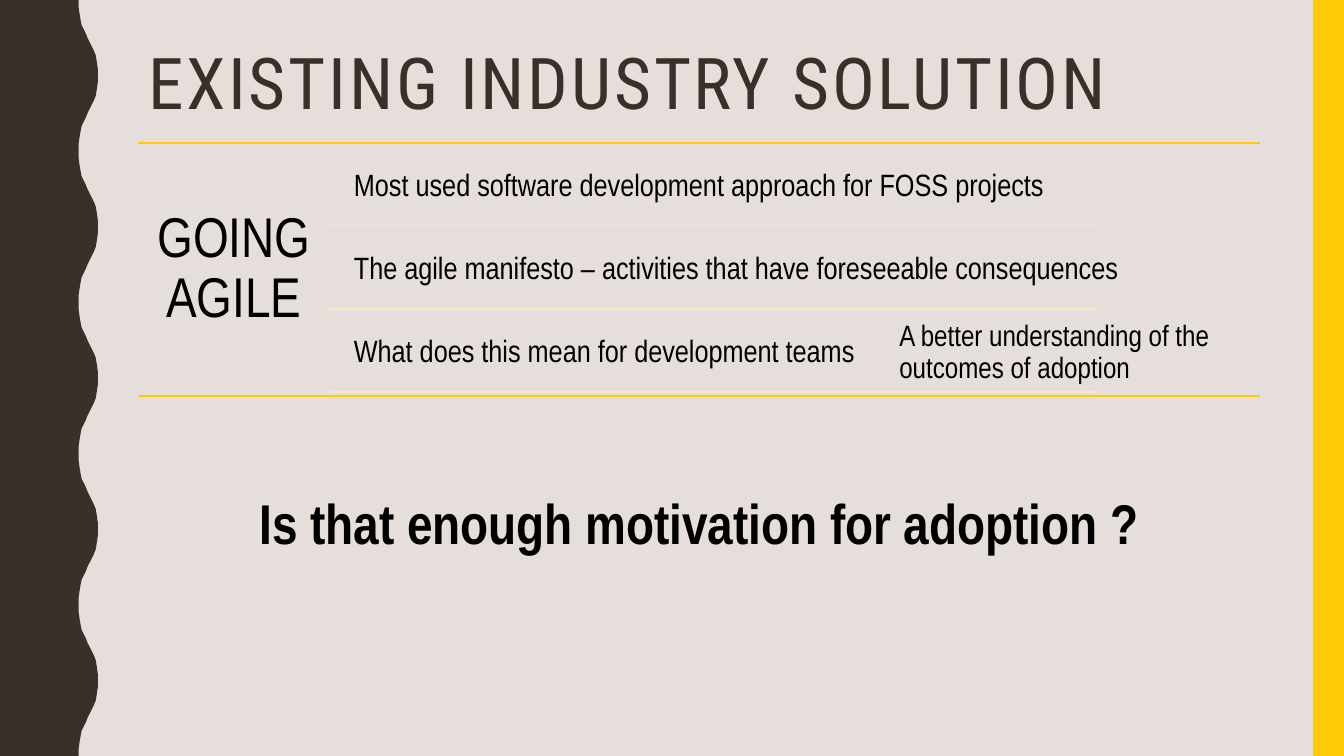
from pptx import Presentation
from pptx import util as u
from pptx.dml.color import RGBColor
from pptx.enum import shapes, text
from pptx.oxml.ns import qn
from lxml import etree

BROWN = RGBColor(0x39, 0x30, 0x2A)
GOLD = RGBColor(0xFF, 0xCA, 0x08)
PALE_GOLD = RGBColor(0xFF, 0xE6, 0xBD)
BEIGE = RGBColor(0xE5, 0xDE, 0xDB)
BLACK = RGBColor(0, 0, 0)

# Half a wave of the left border, from trough to crest, as (x, y)
HALF_WAVE = [(0.78, 0), (0.78, 0.07), (0.79, 0.14), (0.8, 0.2), (0.81, 0.25),
             (0.83, 0.29), (0.85, 0.33), (0.87, 0.38), (0.89, 0.42),
             (0.91, 0.46), (0.93, 0.5), (0.95, 0.55), (0.96, 0.61),
             (0.97, 0.68), (0.97, 0.75)]
WAVE_HEIGHT = 1.5
WAVE_COUNT = 5

LEFT, WIDTH = 1.37, 11.13
RIGHT = LEFT + WIDTH
TOP, BAND = 1.42, 2.5
ROW_TOP, ROW_PITCH, ROW_HEIGHT = 1.46, 0.825, 0.78
ROWS = [("Most used software development approach for FOSS projects", 8.19),
        ("The agile manifesto – activities that have foreseeable consequences", 8.24),
        ("What does this mean for development teams", 5.27)]


class SlideBuilder:
    def __init__(self, slide, font="Arial Narrow", color=BLACK):
        self.s = slide
        self.font = font
        self.color = color

    def background(self, color):
        fill = self.s.background.fill
        fill.solid()
        fill.fore_color.rgb = color

    def paint(self, sp, color):
        sp.shadow.inherit = False
        sp.fill.solid()
        sp.fill.fore_color.rgb = color
        sp.line.fill.background()

    def rect(self, x, y, w, h, color):
        sp = self.s.shapes.add_shape(shapes.MSO_SHAPE.RECTANGLE, u.Inches(x),
                                     u.Inches(y), u.Inches(w), u.Inches(h))
        self.paint(sp, color)

    def polygon(self, points, color):
        (x, y), *rest = [(u.Inches(px), u.Inches(py)) for px, py in points]
        fb = self.s.shapes.build_freeform(x, y)
        fb.add_line_segments(rest, close=True)
        self.paint(fb.convert_to_shape(), color)

    def rule(self, x1, x2, y, color):
        """Draw a thin horizontal line."""
        c = self.s.shapes.add_connector(
            shapes.MSO_CONNECTOR.STRAIGHT, u.Inches(x1), u.Inches(y),
            u.Inches(x2), u.Inches(y))
        c.line.color.rgb = color
        c.line.width = u.Pt(1)
        etree.SubElement(c._element.spPr, qn("a:effectLst"))

    def text(self, words, x, y, w, h, size, inset=0.09, centered=False,
             bold=False, line_spacing=0.9, font=None, color=None, tracking=0):
        """Add a vertically centred text box; tracking is in points."""
        tb = self.s.shapes.add_textbox(u.Inches(x), u.Inches(y),
                                       u.Inches(w), u.Inches(h))
        tf = tb.text_frame
        tf.word_wrap = True
        tf.vertical_anchor = text.MSO_ANCHOR.MIDDLE
        tf.margin_left = tf.margin_right = u.Inches(inset)
        tf.margin_top = tf.margin_bottom = u.Inches(inset)
        p = tf.paragraphs[0]
        r = p.add_run()
        r.text = words
        p.alignment = text.PP_ALIGN.CENTER if centered else text.PP_ALIGN.LEFT
        p.line_spacing = line_spacing
        p.font.name = font or self.font
        p.font.size = u.Pt(size)
        p.font.bold = bold
        p.font.color.rgb = color or self.color
        if tracking:
            r.font._element.set("spc", str(tracking * 100))


def wavy_border():
    """Outline of the left border: mirrored half waves, repeated downwards."""
    wave = HALF_WAVE + [(x, WAVE_HEIGHT - y) for x, y in HALF_WAVE[-2::-1]]
    edge = [(x, y + i * WAVE_HEIGHT) for i in range(WAVE_COUNT) for x, y in wave]
    return [(0, 0)] + edge + [(0, WAVE_COUNT * WAVE_HEIGHT)]


def main():
    prs = Presentation()
    prs.slide_width, prs.slide_height = u.Inches(13.33), u.Inches(7.5)
    b = SlideBuilder(prs.slides.add_slide(prs.slide_layouts[6]))

    b.background(BEIGE)
    b.polygon(wavy_border(), BROWN)
    b.rect(13.02, 0, 0.31, 7.5, GOLD)
    b.text("EXISTING INDUSTRY SOLUTION", LEFT, 0.42, WIDTH, 0.88, 51, inset=0.1,
           font="Roboto Condensed", color=BROWN, tracking=2)

    b.rule(LEFT, RIGHT, TOP, GOLD)
    b.text("GOING AGILE", LEFT, TOP, 1.9, BAND, 40, inset=0.17, centered=True)
    for i, (words, width) in enumerate(ROWS):
        y = ROW_TOP + i * ROW_PITCH
        b.text(words, 3.42, y, width, ROW_HEIGHT, 22)
        b.rule(3.27, 10.89, y + ROW_HEIGHT, PALE_GOLD)
    b.text("A better understanding of the outcomes of adoption",
           8.83, y, 3.67, ROW_HEIGHT, 21)

    b.rule(LEFT, RIGHT, 3.93, GOLD)
    b.text("Is that enough motivation for adoption ?", LEFT, 3.93, WIDTH, BAND,
           40, inset=0.17, centered=True, bold=True, line_spacing=1.0)

    prs.save("out.pptx")


if __name__ == "__main__":
    main()
